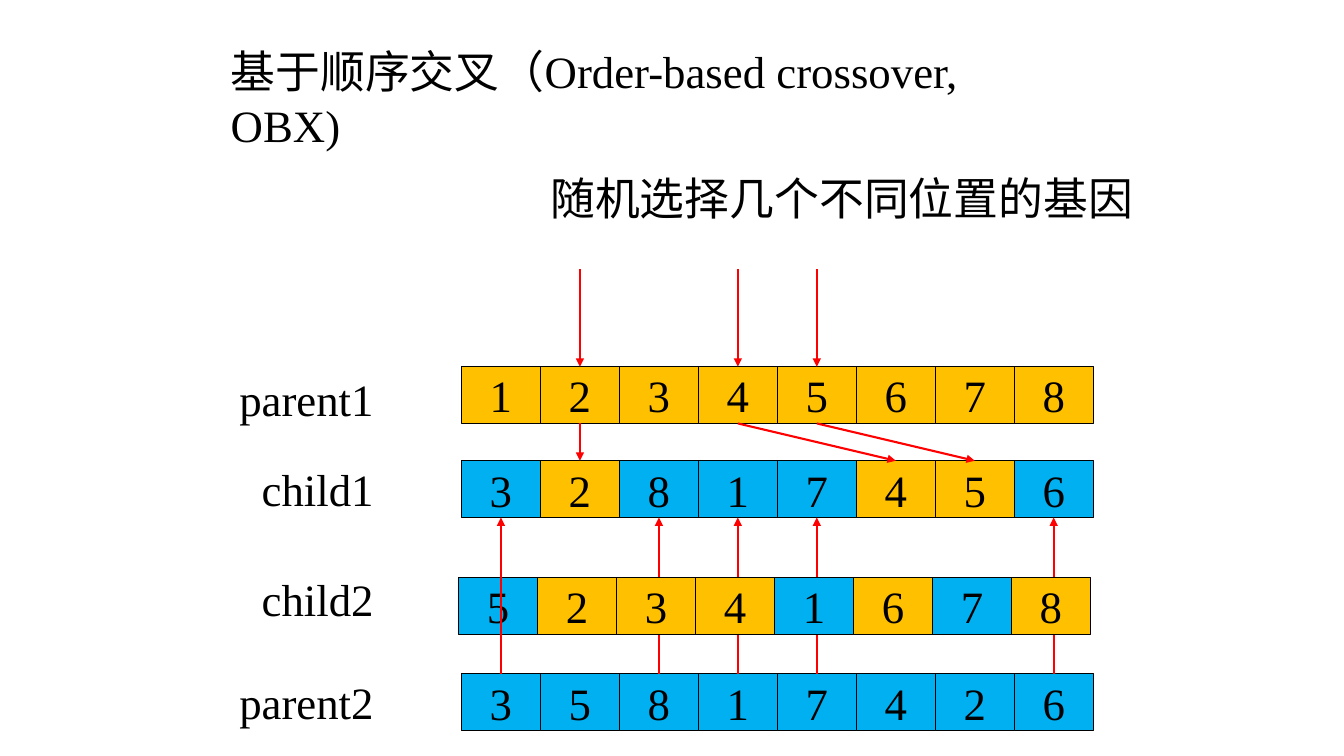
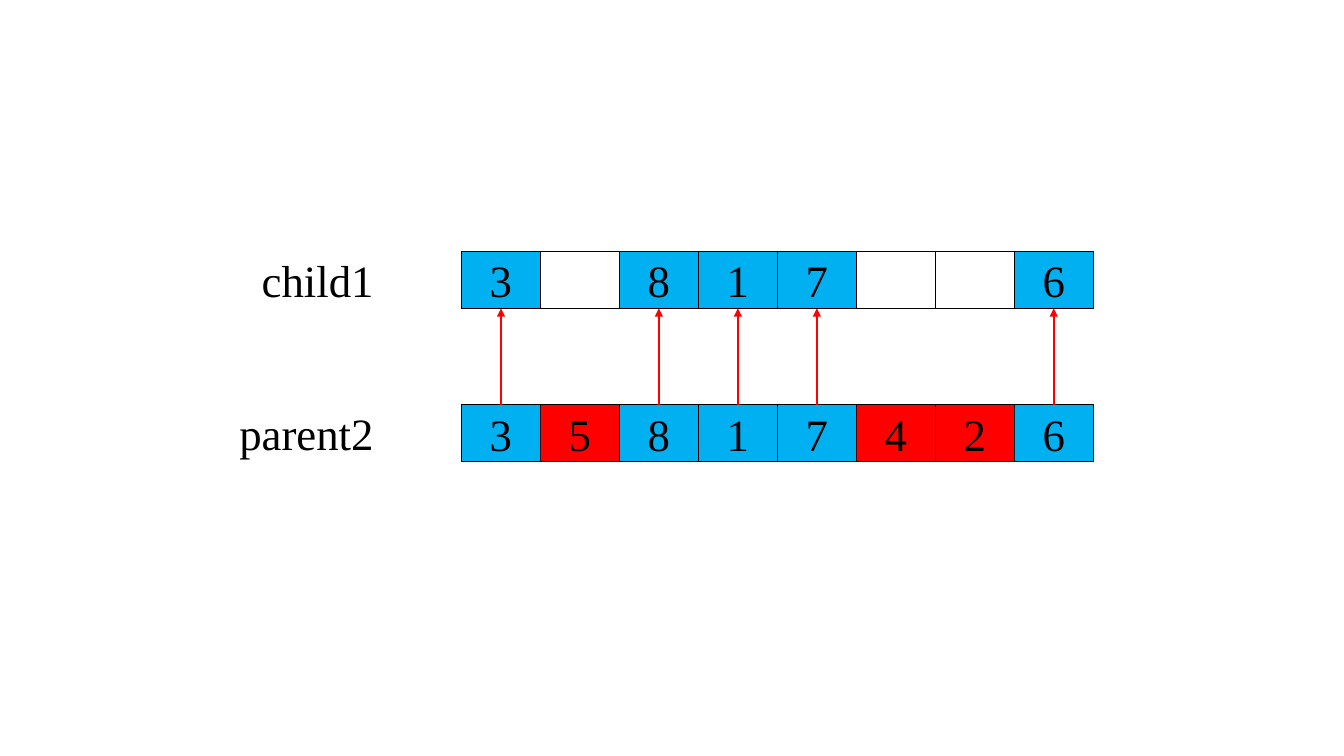
"""Two slides on order-based crossover, drawn as rows of genes joined by arrows."""
from lxml import etree
from pptx import Presentation
from pptx.dml.color import RGBColor
from pptx.enum.shapes import MSO_CONNECTOR, MSO_SHAPE
from pptx.enum.text import MSO_ANCHOR, MSO_AUTO_SIZE, PP_ALIGN
from pptx.oxml.ns import qn
from pptx.util import Cm, Pt

RECTANGLE = MSO_SHAPE.RECTANGLE
STRAIGHT = MSO_CONNECTOR.STRAIGHT
TOP, MIDDLE = MSO_ANCHOR.TOP, MSO_ANCHOR.MIDDLE
NO_AUTOFIT = MSO_AUTO_SIZE.NONE
LEFT, CENTER, RIGHT = PP_ALIGN.LEFT, PP_ALIGN.CENTER, PP_ALIGN.RIGHT

color = RGBColor.from_string
BLACK, RED = "000000", "FF0000"
FILLS = {"Y": "FFC000", "B": "00B0F0", "R": RED}
FONT, FONT_SIZE = "Times New Roman", 32
GENE_WIDTH, GENE_HEIGHT = 1.99, 1.43
ROW_LEFT = 11.63
CENTERS = [ROW_LEFT + GENE_WIDTH * (position + 0.5) for position in range(8)]


def draw_row(page, label, label_top, left, top, genes, fills):
    label_box = page.shapes.add_textbox(Cm(5.6), Cm(label_top), Cm(4.07), Cm(1.63))
    label_box.text_frame.word_wrap = True
    label_box.text_frame.text = label
    label_box.text_frame.paragraphs[0].alignment = RIGHT
    for position, (gene, fill) in enumerate(zip(genes, fills)):
        cell = page.shapes.add_shape(
            RECTANGLE, Cm(left + position * GENE_WIDTH), Cm(top), Cm(GENE_WIDTH), Cm(GENE_HEIGHT))
        cell.shadow.inherit = False
        cell.line.color.rgb = color(BLACK)
        cell.line.width = Pt(0.5)
        if fill in FILLS:
            cell.fill.solid()
            cell.fill.fore_color.rgb = color(FILLS[fill])
        else:
            cell.fill.background()
        cell.text_frame.vertical_anchor = MIDDLE
        cell.text_frame.text = gene.strip()
        cell.text_frame.paragraphs[0].alignment = CENTER


def draw_arrow(page, start, start_top, end, end_top):
    arrow = page.shapes.add_connector(
        STRAIGHT, Cm(CENTERS[start]), Cm(start_top), Cm(CENTERS[end]), Cm(end_top))
    arrow.line.color.rgb = color(RED)
    arrow.line.width = Pt(1.5)
    etree.SubElement(arrow.line._get_or_add_ln(), qn("a:tailEnd"), type="triangle")
    etree.SubElement(arrow._element.spPr, qn("a:effectLst"))


deck = Presentation()
deck.slide_width, deck.slide_height = Cm(33.87), Cm(19.05)

crossover = deck.slides.add_slide(deck.slide_layouts[5])
title = crossover.shapes.title
title.left, title.top, title.width, title.height = Cm(5.56), Cm(0.97), Cm(21.8), Cm(3)
title.text_frame.text = "基于顺序交叉（Order-based crossover, OBX)"
title.text_frame.word_wrap = True
title.text_frame.auto_size = NO_AUTOFIT
title.text_frame.vertical_anchor = TOP
title.text_frame.paragraphs[0].alignment = LEFT

caption = crossover.shapes.add_textbox(Cm(13.62), Cm(4.17), Cm(16), Cm(1.63))
caption.text_frame.word_wrap = True
caption.text_frame.text = "随机选择几个不同位置的基因"

PARENT1_TOP, CHILD1_TOP, CHILD2_TOP, PARENT2_TOP = 9.24, 11.61, 14.55, 16.98
draw_row(crossover, "parent1", 9.25, ROW_LEFT, PARENT1_TOP, "12345678", "YYYYYYYY")
draw_row(crossover, "parent2", 16.87, ROW_LEFT, PARENT2_TOP, "35817426", "BBBBBBBB")
draw_row(crossover, "child1", 11.51, ROW_LEFT, CHILD1_TOP, "32817456", "BYBBBYYB")
for chosen, target in ((1, 1), (3, 5), (4, 6)):
    draw_arrow(crossover, chosen, 6.78, chosen, PARENT1_TOP)
    draw_arrow(crossover, chosen, PARENT1_TOP + GENE_HEIGHT, target, CHILD1_TOP)
for kept in (2, 3, 4, 7):
    draw_arrow(crossover, kept, PARENT2_TOP, kept, CHILD1_TOP + GENE_HEIGHT)
draw_row(crossover, "child2", 14.27, 11.56, CHILD2_TOP, "52341678", "BYYYBYBY")
draw_arrow(crossover, 0, PARENT2_TOP, 0, CHILD1_TOP + GENE_HEIGHT)

filling = deck.slides.add_slide(deck.slide_layouts[6])
CHILD_TOP, PARENT_TOP = 6.34, 10.2
draw_row(filling, "parent2", 10.11, ROW_LEFT, PARENT_TOP, "35817426", "BRBBBRRB")
draw_row(filling, "child1", 6.25, ROW_LEFT, CHILD_TOP, "3 817  6", "B BBB  B")
for kept in (0, 2, 3, 4, 7):
    draw_arrow(filling, kept, PARENT_TOP, kept, CHILD_TOP + GENE_HEIGHT)

for page in deck.slides:
    for shape in page.shapes:
        if shape.has_text_frame:
            font = shape.text_frame.paragraphs[0].font
            font.name, font.size = FONT, Pt(FONT_SIZE)
            font.color.rgb = color(BLACK)

deck.save("out.pptx")
